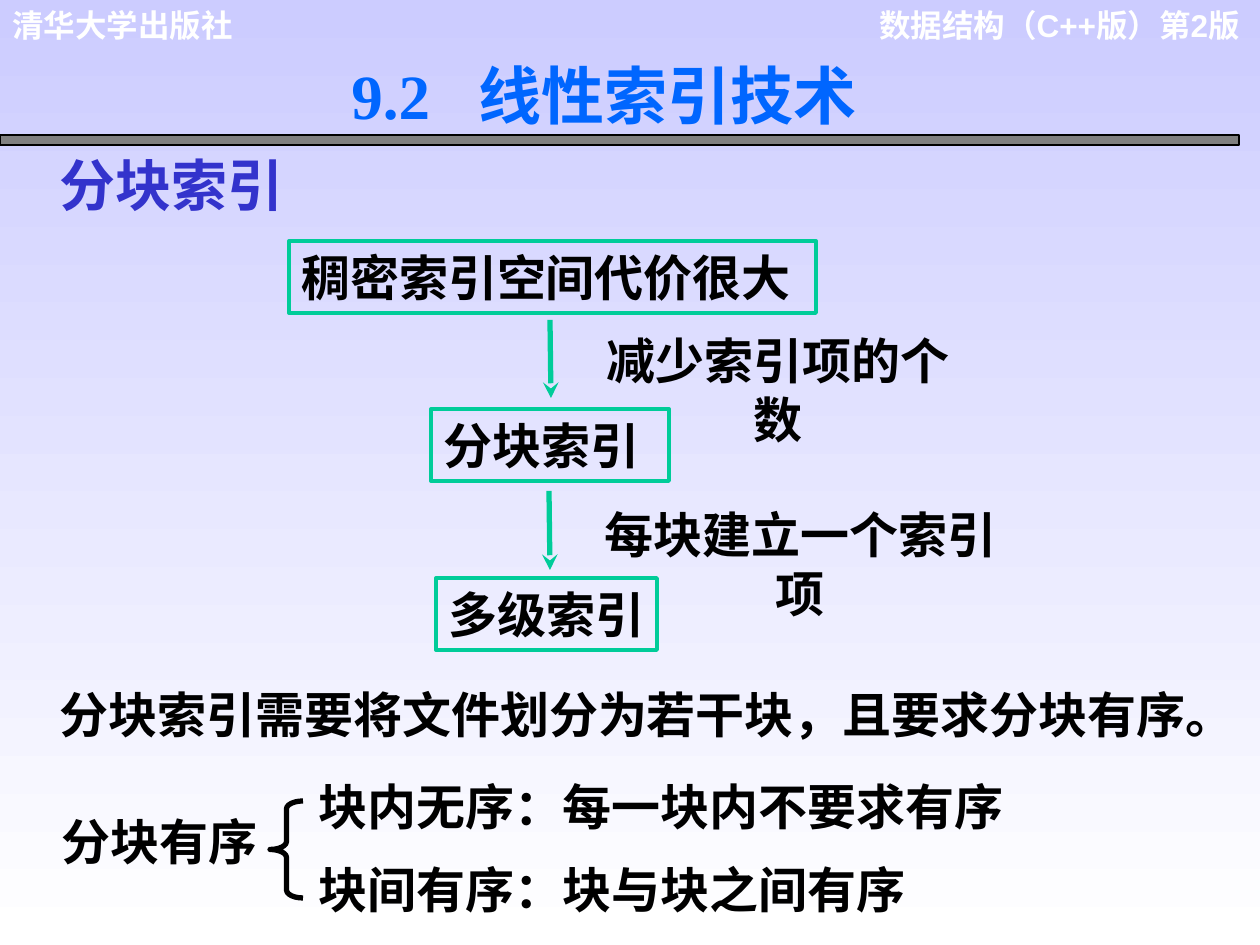
import pptx
import pptx.util
import pptx.dml.color
import pptx.enum.shapes
import pptx.enum.text
import pptx.oxml
import pptx.oxml.ns

COLORS = {
    "top": "CCCCFF", "bottom": "FFFFFF", "header": "FFFFFF", "bar": "808080",
    "ink": "000000", "heading": "3333CC", "title": "0066FF", "green": "00CC99",
}
CJK, SANS, SERIF = "Noto Sans CJK SC", "Arial", "Times New Roman"
SCALE = 914400 / 126
TITLE_TAB = 127

TEXTS = [
    (["数据结构（C++版）第2版"], (853, 0, 399, 88), 18, SANS, "header", "RIGHT", True),
    (["清华大学出版社"], (0, 0, 341, 50), 18, SANS, "header", "LEFT", True),
    (["分块索引"], (47, 144, 357, 81), 32, SERIF, "heading", "LEFT", True),
    (["减少索引项的个数"], (570, 324, 416, 72), 28, SANS, "ink", "CENTER", False),
    (["每块建立一个索引项"], (568, 498, 465, 72), 28, SANS, "ink", "CENTER", False),
    (["分块索引需要将文件划分为若干块，且要求分块有序。"],
     (47, 678, 1200, 72), 28, SANS, "ink", "CENTER", False),
    (["块内无序：每一块内不要求有序", "块间有序：块与块之间有序"],
     (306, 770, 781, 156), 28, SERIF, "ink", "LEFT", True),
    (["分块有序"], (49, 805, 221, 72), 28, SANS, "ink", "CENTER", False),
]
TITLE = ("9.2\t线性索引技术", (339, 50, 672, 88))
STEPS = [
    ("稠密索引空间代价很大", (289, 241, 527, 72), CJK, "LEFT", True),
    ("分块索引", (431, 409, 238, 72), CJK, "LEFT", True),
    ("多级索引", (436, 578, 221, 72), SANS, "CENTER", False),
]
ARROWS = [(550, 320, 551, 398), (549, 491, 550, 570)]
BAR = (0, 135, 1239, 10)
BRACE = (270, 801, 33, 97)


def emu(*lengths):
    return [pptx.util.Emu(round(length * SCALE)) for length in lengths]


def color(name):
    return pptx.dml.color.RGBColor.from_string(COLORS[name])


def xml(tag, content="", **attributes):
    pairs = "".join(f' {key}="{value}"' for key, value in attributes.items())
    namespace = pptx.oxml.ns.nsdecls("a")
    return pptx.oxml.parse_xml(f"<a:{tag} {namespace}{pairs}>{content}</a:{tag}>")


def write(shape, lines, size, font, ink, align, wrap):
    frame = shape.text_frame
    frame.word_wrap = wrap
    for index, line in enumerate(lines):
        para = frame.add_paragraph() if index else frame.paragraphs[0]
        para.alignment = getattr(pptx.enum.text.PP_ALIGN, align)
        if index:
            para.space_before = pptx.util.Pt(14)
        span = para.add_run()
        span.text = line
        span.font.size = pptx.util.Pt(size)
        span.font.bold = True
        span.font.color.rgb = color(ink)
        span.font.name = font
        span.font._element.find(pptx.oxml.ns.qn("a:latin")).addnext(xml("ea", typeface=CJK))


def add_text(page, lines, place, *style):
    box = page.shapes.add_textbox(*emu(*place))
    write(box, lines, *style)
    return box


def add_title(page):
    text, place = TITLE
    box = add_text(page, [text], place, 36, SERIF, "title", "LEFT", True)
    para = box.text_frame.paragraphs[0]
    stop = f'<a:tab pos="{emu(TITLE_TAB)[0]}" algn="l"/>'
    para._p.get_or_add_pPr().append(xml("tabLst", stop))
    shadow = xml(
        "effectLst",
        f'<a:outerShdw dist="25400" dir="2700000"><a:srgbClr val="{COLORS["bar"]}"/></a:outerShdw>',
    )
    fill = para.runs[0].font._element.find(pptx.oxml.ns.qn("a:solidFill"))
    fill.addnext(shadow)


def add_outline(page, kind, place, line, width, fill=None):
    shape = page.shapes.add_shape(getattr(pptx.enum.shapes.MSO_SHAPE, kind), *emu(*place))
    shape.shadow.inherit = False
    if fill:
        shape.fill.solid()
        shape.fill.fore_color.rgb = color(fill)
    else:
        shape.fill.background()
    shape.line.color.rgb = color(line)
    shape.line.width = pptx.util.Pt(width)
    return shape


def add_arrow(page, ends):
    arrow = page.shapes.add_connector(pptx.enum.shapes.MSO_CONNECTOR.STRAIGHT, *emu(*ends))
    arrow.line.color.rgb = color("green")
    arrow.line.width = pptx.util.Pt(3)
    arrow.line._get_or_add_ln().append(xml("tailEnd", type="stealth"))
    arrow._element.spPr.append(xml("effectLst"))


def main():
    deck = pptx.Presentation()
    deck.slide_width, deck.slide_height = emu(1260, 945)
    page = deck.slides.add_slide(deck.slide_layouts[6])
    backdrop = page.background.fill
    backdrop.gradient()
    backdrop.gradient_angle = 270
    for stop, name in zip(backdrop.gradient_stops, ("top", "bottom")):
        stop.color.rgb = color(name)

    add_outline(page, "RECTANGLE", BAR, "ink", 0.75, "bar")
    for text in TEXTS:
        add_text(page, *text)
    add_title(page)
    for label, place, font, align, wrap in STEPS:
        step = add_outline(page, "RECTANGLE", place, "green", 2.25)
        write(step, [label], 28, font, "ink", align, wrap)
    for ends in ARROWS:
        add_arrow(page, ends)
    brace = add_outline(page, "LEFT_BRACE", BRACE, "ink", 3)
    brace.adjustments[0] = 0.24
    deck.save("out.pptx")


if __name__ == "__main__":
    main()
